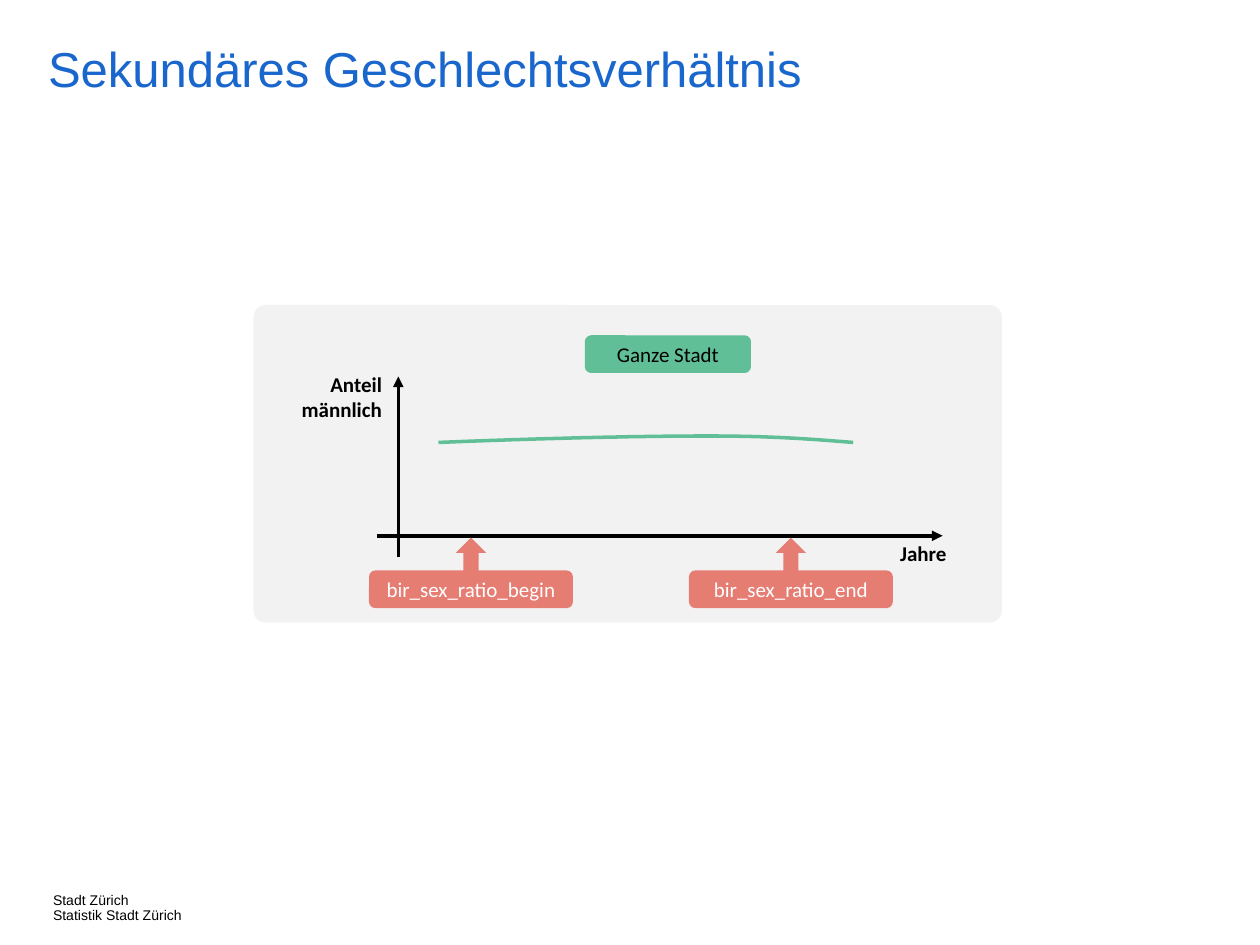
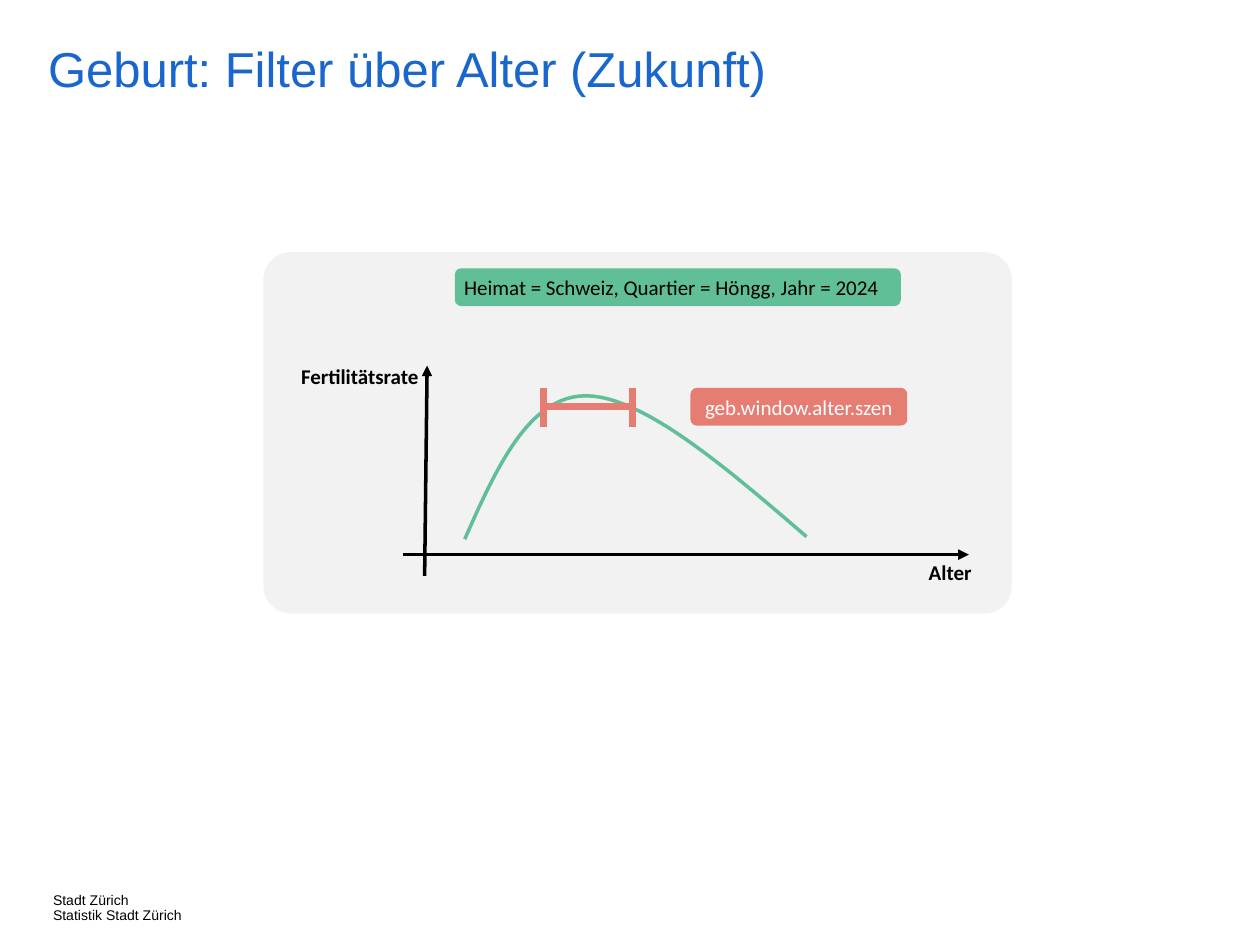
from lxml import etree
from pptx import Presentation
from pptx.dml.color import RGBColor
from pptx.enum.shapes import MSO_CONNECTOR, MSO_SHAPE
from pptx.enum.text import MSO_ANCHOR, PP_ALIGN
from pptx.oxml.ns import qn
from pptx.util import Cm, Pt

STRAIGHT = MSO_CONNECTOR.STRAIGHT
ROUNDED = MSO_SHAPE.ROUNDED_RECTANGLE
UP_ARROW = MSO_SHAPE.UP_ARROW
LEFT, CENTER, RIGHT = PP_ALIGN.LEFT, PP_ALIGN.CENTER, PP_ALIGN.RIGHT
TOP, MIDDLE = MSO_ANCHOR.TOP, MSO_ANCHOR.MIDDLE

BLUE = "1966CC"
GREEN = "60BF97"
RED = "E67D73"
GREY = "F2F2F2"
BLACK = "000000"
WHITE = "FFFFFF"
HEADING_FONT = "Arial"
LABEL_FONT = "Calibri"
FOOTER = ["Stadt Zürich", "Statistik Stadt Zürich"]
LABEL_HEIGHT = 0.76
LABEL_WIDTH = 3.15
CURVE_STEPS = 24


def color(hex_value):
    return RGBColor.from_string(hex_value)


def bezier(start, first, second, end, t):
    s = 1 - t
    return tuple(
        s**3 * a + 3 * s * s * t * b + 3 * s * t * t * c + t**3 * d
        for a, b, c, d in zip(start, first, second, end)
    )


class Sketch:
    def __init__(self):
        self.deck = Presentation()
        self.deck.slide_width = Cm(25.4)
        self.deck.slide_height = Cm(19.05)
        self.page = None

    def add_page(self, title):
        self.page = self.deck.slides.add_slide(self.deck.slide_layouts[6])
        self.heading([title], 0.97, 0.91, 24.43, 1.63, 28, BLUE)
        self.heading(FOOTER, 1.07, 18.01, 3.33, 0.51, 8, BLACK, wrap=False)

    def fill_text(self, frame, lines, size, ink, font, align, bold=False, spacing=1.0):
        frame.text = "\n".join(lines)
        for para in frame.paragraphs:
            para.alignment = align
            para.line_spacing = spacing
            para.font.size = Pt(size)
            para.font.name = font
            para.font.bold = bold
            para.font.color.rgb = color(ink)

    def set_margins(self, frame, right=0):
        frame.margin_left = frame.margin_top = frame.margin_bottom = 0
        frame.margin_right = Cm(right)

    def text_box(self, left, top, width, height, wrap=True):
        box = self.page.shapes.add_textbox(Cm(left), Cm(top), Cm(width), Cm(height))
        box.text_frame.word_wrap = wrap
        box.text_frame.vertical_anchor = TOP
        return box.text_frame

    def heading(self, lines, left, top, width, height, size, ink, wrap=True):
        frame = self.text_box(left, top, width, height, wrap)
        self.set_margins(frame)
        self.fill_text(frame, lines, size, ink, HEADING_FONT, LEFT, spacing=0.9)

    def axis_label(self, text, left, top, align, height=LABEL_HEIGHT):
        frame = self.text_box(left, top, LABEL_WIDTH, height)
        self.fill_text(frame, [text], 12, BLACK, LABEL_FONT, align, bold=True)

    def block(self, kind, left, top, width, height, fill):
        shape = self.page.shapes.add_shape(kind, Cm(left), Cm(top), Cm(width), Cm(height))
        shape.shadow.inherit = False
        shape.fill.solid()
        shape.fill.fore_color.rgb = color(fill)
        shape.line.fill.background()
        return shape

    def panel(self, left, top, height, rounding):
        self.block(ROUNDED, left, top, 15.09, height, GREY).adjustments[0] = rounding

    def tag(self, text, left, top, width, fill, ink, margin_right=0):
        frame = self.block(ROUNDED, left, top, width, LABEL_HEIGHT, fill).text_frame
        self.set_margins(frame, margin_right)
        frame.word_wrap = True
        frame.vertical_anchor = MIDDLE
        self.fill_text(frame, [text], 12, ink, LABEL_FONT, CENTER)

    def line(self, start, end, ink=BLACK, width=2, arrow=False):
        points = [Cm(value) for value in (*start, *end)]
        connector = self.page.shapes.add_connector(STRAIGHT, *points)
        connector.line.color.rgb = color(ink)
        connector.line.width = Pt(width)
        properties = connector._element.spPr
        if arrow:
            etree.SubElement(properties.find(qn("a:ln")), qn("a:tailEnd"), type="triangle")
        etree.SubElement(properties, qn("a:effectLst"))

    def curve(self, knots):
        points = [knots[0]]
        for i in range(0, len(knots) - 1, 3):
            points += [
                bezier(*knots[i:i + 4], step / CURVE_STEPS)
                for step in range(1, CURVE_STEPS + 1)
            ]
        points = [(Cm(x), Cm(y)) for x, y in points]
        builder = self.page.shapes.build_freeform(*points[0])
        builder.add_line_segments(points[1:], close=False)
        shape = builder.convert_to_shape()
        shape.shadow.inherit = False
        shape.fill.background()
        shape.line.color.rgb = color(GREEN)
        shape.line.width = Pt(2)


def sex_ratio_page(sketch):
    sketch.add_page("Sekundäres Geschlechtsverhältnis")
    sketch.panel(5.11, 6.15, 6.4, 0.039)
    sketch.line((7.59, 10.8), (19, 10.8), arrow=True)
    sketch.axis_label("Jahre", 17.04, 10.77, CENTER)
    sketch.line((8.03, 11.23), (8.03, 7.59), arrow=True)
    sketch.axis_label("Anteil männlich", 4.8, 7.37, RIGHT, height=1.27)
    sketch.curve([
        (17.2, 8.92), (16.41, 8.86), (15.65, 8.79), (14.25, 8.79),
        (12.85, 8.79), (10.85, 8.84), (8.84, 8.92),
    ])
    for name, left in (("bir_sex_ratio_begin", 7.44), ("bir_sex_ratio_end", 13.89)):
        sketch.tag(name, left, 11.5, 4.11, RED, WHITE)
        sketch.block(UP_ARROW, left + 1.75, 10.84, 0.61, 0.71, RED)
    sketch.tag("Ganze Stadt", 11.79, 6.76, 3.35, GREEN, BLACK)


def age_filter_page(sketch):
    sketch.add_page("Geburt: Filter über Alter (Zukunft)")
    sketch.panel(5.31, 5.08, 7.29, 0.077)
    sketch.line((8.13, 11.18), (19.53, 11.18), arrow=True)
    sketch.axis_label("Alter", 17.58, 11.15, CENTER)
    sketch.line((8.56, 11.61), (8.61, 7.37), arrow=True)
    sketch.axis_label("Fertilitätsrate", 5.54, 7.21, RIGHT)
    sketch.curve([
        (9.37, 10.87), (10.01, 9.42), (10.67, 7.98), (11.81, 7.98),
        (12.95, 7.98), (14.61, 9.4), (16.26, 10.82),
    ])
    sketch.tag("Heimat = Schweiz, Quartier = Höngg, Jahr = 2024",
               9.17, 5.41, 8.99, GREEN, BLACK, margin_right=0.25)
    window_start, window_end = 10.95, 12.75
    sketch.line((window_start, 8.2), (window_end, 8.2), RED, 4)
    for edge in (window_start, window_end):
        sketch.line((edge, 7.82), (edge, 8.61), RED, 4)
    sketch.tag("geb.window.alter.szen", 13.92, 7.82, 4.37, RED, WHITE)


def main():
    sketch = Sketch()
    sex_ratio_page(sketch)
    age_filter_page(sketch)
    sketch.deck.save("out.pptx")


if __name__ == "__main__":
    main()
